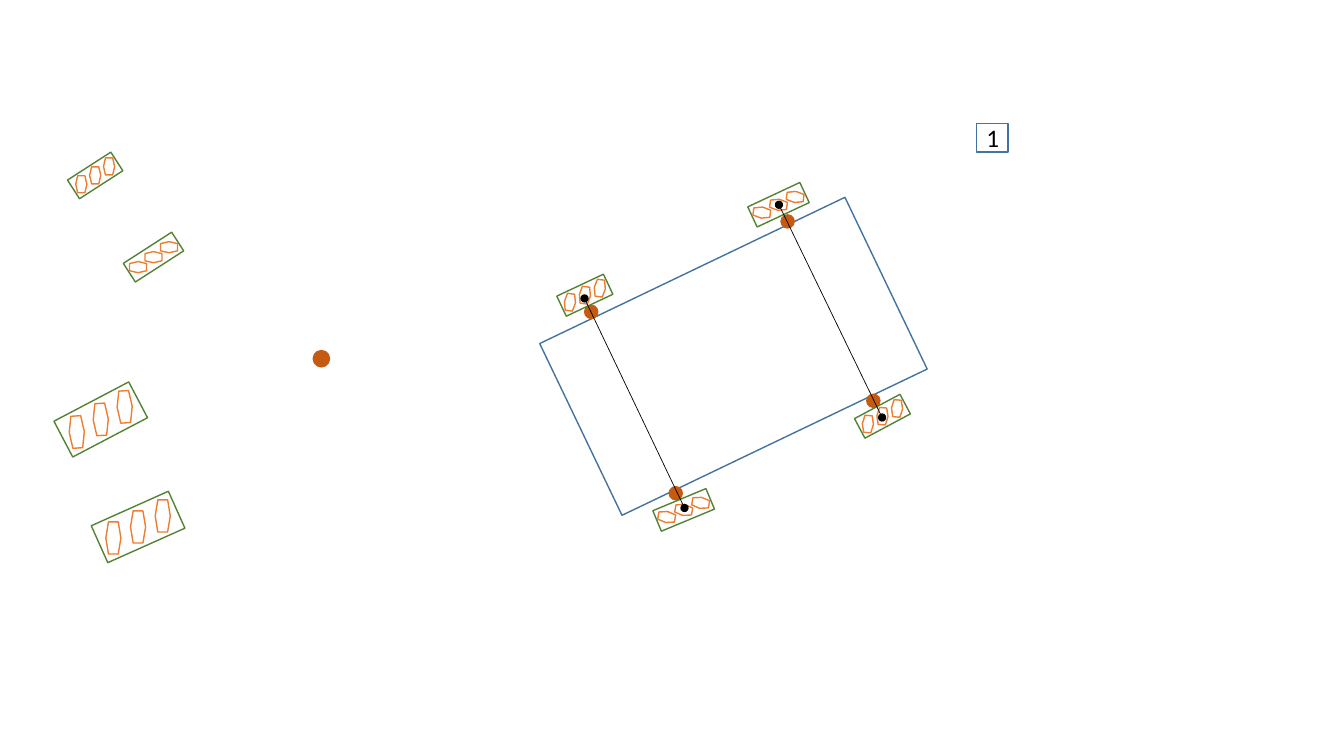
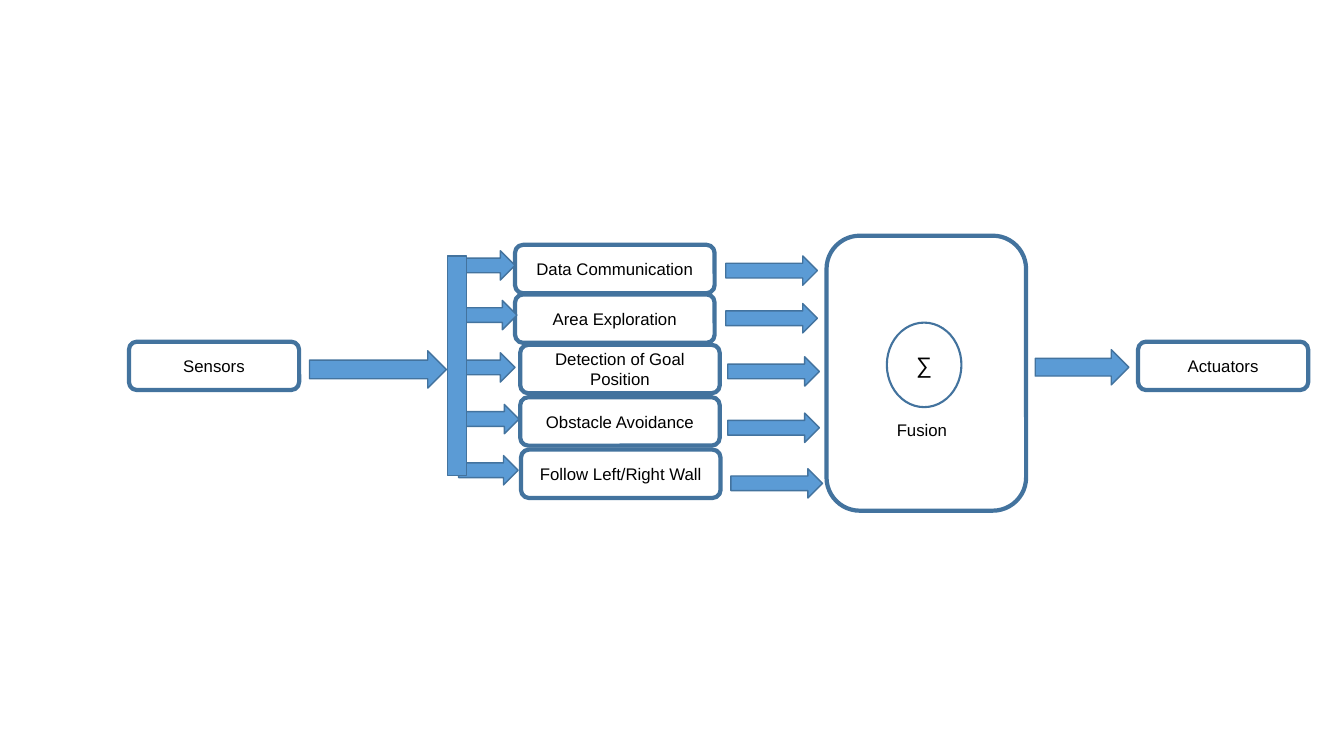
from math import cos, radians, sin

from lxml.etree import SubElement
from pptx import Presentation
from pptx.dml.color import RGBColor
from pptx.enum.shapes import MSO_CONNECTOR, MSO_SHAPE
from pptx.enum.text import PP_ALIGN
from pptx.oxml.ns import qn
from pptx.util import Cm, Pt

WHITE, BLACK = "FFFFFF", "000000"
BLUE, BLUE_EDGE = "5B9BD5", "43739E"
GREEN, ORANGE, RUST = "548235", "ED7D31", "C55A11"


def draw(parent, kind, left, top, width, height, fill, edge, weight=1, turn=0):
    """Add a preset shape; lengths in centimetres, fill None for see-through."""
    shape = parent.shapes.add_shape(kind, Cm(left), Cm(top), Cm(width), Cm(height))
    shape.shadow.inherit = False
    shape.rotation = turn
    if fill:
        shape.fill.solid()
        shape.fill.fore_color.rgb = RGBColor.from_string(fill)
    else:
        shape.fill.background()
    shape.line.color.rgb = RGBColor.from_string(edge)
    shape.line.width = Pt(weight)
    return shape


def write(box, text, size=12, font="Arial", align=PP_ALIGN.CENTER):
    box.text_frame.word_wrap = True
    para = box.text_frame.paragraphs[0]
    para.text = text
    para.alignment = align
    para.font.name = font
    para.font.size = Pt(size)
    para.font.color.rgb = RGBColor.from_string(BLACK)


deck = Presentation()
deck.slide_width, deck.slide_height = Cm(33.87), Cm(19.05)
blank = deck.slide_layouts[6]

# Slide 1: robot with four sensor banks, and loose parts on the left
page = deck.slides.add_slide(blank)
robot = page.shapes.add_group_shape()
draw(robot, MSO_SHAPE.RECTANGLE, 14.22, 6.58, 8.53, 4.8, WHITE, BLUE_EDGE, turn=334.4)

# Joints: parent, centre, diameter
joints = [
    (page, 8.1, 9.04, 0.41),
    (robot, 14.9, 7.86, 0.33),
    (robot, 22.01, 10.1, 0.33),
    (robot, 17.03, 12.43, 0.33),
    (robot, 19.85, 5.58, 0.33),
]
for parent, x, y, size in joints:
    draw(parent, MSO_SHAPE.OVAL, x - size / 2, y - size / 2, size, size, RUST, RUST)

# Sensor banks: a tilted case with three hexagons spaced along its axis
LARGE = (2.13, 1.02, 0.38, 0.81)
SHORT = (1.3, 0.56, 0.28, 0.43)
LONG = (1.45, 0.56, 0.28, 0.43)
banks = [
    (page, 3.48, 13.28, LARGE, 335.9, 0),
    (page, 2.54, 10.57, LARGE, 332.3, 356.4),
    (page, 2.4, 4.42, SHORT, 327.2, 0),
    (page, 3.87, 6.48, LONG, 327.2, 270),
    (robot, 14.74, 7.44, SHORT, 334.8, 7.6),
    (robot, 22.24, 10.49, SHORT, 331.9, 4.7),
    (robot, 17.23, 12.85, LONG, 337.4, 280.2),
    (robot, 19.62, 5.16, LONG, 334.9, 277.7),
]
for parent, x, y, (width, height, cell_width, cell_height), tilt, cell_turn in banks:
    bank = parent.shapes.add_group_shape()
    draw(bank, MSO_SHAPE.RECTANGLE, x - width / 2, y - height / 2, width, height,
         WHITE, GREEN, turn=tilt)
    for step in (-1, 0, 1):
        offset = step * 0.32 * width
        cell_x = x + offset * cos(radians(tilt))
        cell_y = y + offset * sin(radians(tilt))
        cell = draw(bank, MSO_SHAPE.HEXAGON, cell_x - cell_width / 2,
                    cell_y - cell_height / 2, cell_width, cell_height,
                    WHITE, ORANGE, turn=cell_turn)
        cell.adjustments[0] = 0.176

# Axles with round ends
for ends in [(14.73, 7.52, 17.25, 12.8), (19.63, 5.16, 22.23, 10.52)]:
    axle = robot.shapes.add_connector(MSO_CONNECTOR.STRAIGHT, *map(Cm, ends))
    axle.line.color.rgb = RGBColor.from_string(BLACK)
    axle.line.width = Pt(0.5)
    properties = axle.element.spPr
    for end in ("a:headEnd", "a:tailEnd"):
        SubElement(properties.find(qn("a:ln")), qn(end), type="oval")
    SubElement(properties, qn("a:effectLst"))

number = draw(page, MSO_SHAPE.RECTANGLE, 24.61, 3.12, 0.79, 0.71, None, BLUE_EDGE)
write(number, "1", 18, "Calibri")

# Slide 2: from sensors through behaviours and fusion to actuators
page = deck.slides.add_slide(blank)

# Boxes with text
boxes = [
    ("Data Communication", 12.98, 6.17, 5.03),
    ("Area Exploration", 12.98, 7.42, 5.03),
    ("Detection of Goal Position", 13.11, 8.69, 5.03),
    ("Obstacle Avoidance", 13.11, 10.01, 5.03),
    ("Follow Left/Right Wall", 13.13, 11.33, 5.03),
    ("Sensors", 3.25, 8.61, 4.29),
    ("Actuators", 28.68, 8.61, 4.29),
]
for text, left, top, width in boxes:
    box = draw(page, MSO_SHAPE.ROUNDED_RECTANGLE, left, top, width, 1.22,
               None, BLUE_EDGE, 3)
    write(box, text)

# Fusion panel
draw(page, MSO_SHAPE.ROUNDED_RECTANGLE, 20.83, 5.94, 5.03, 6.93, None, BLUE_EDGE, 3)
total = draw(page, MSO_SHAPE.OVAL, 22.35, 8.13, 1.88, 2.13, None, BLUE_EDGE, 1.5)
write(total, "∑", 16)
label = page.shapes.add_textbox(Cm(22.35), Cm(10.46), Cm(4.34), Cm(0.76))
write(label, "Fusion", align=PP_ALIGN.LEFT)

# Arrows: left, top, width, height
arrows = [
    (7.8, 8.84, 3.45, 0.94),
    (26.09, 8.81, 2.36, 0.89),
    # into the behaviours
    (11.56, 6.32, 1.42, 0.74),
    (11.61, 7.57, 1.42, 0.74),
    (11.56, 8.89, 1.42, 0.74),
    (11.66, 10.19, 1.42, 0.74),
    (11.56, 11.48, 1.5, 0.74),
    # out to the fusion panel
    (18.29, 6.45, 2.31, 0.74),
    (18.29, 7.65, 2.31, 0.74),
    (18.34, 8.99, 2.31, 0.74),
    (18.34, 10.41, 2.31, 0.74),
    (18.42, 11.81, 2.31, 0.74),
]
for place in arrows:
    draw(page, MSO_SHAPE.RIGHT_ARROW, *place, BLUE, BLUE_EDGE)

# Bar that splits the sensor signal
draw(page, MSO_SHAPE.RECTANGLE, 11.28, 6.45, 0.48, 5.54, BLUE, BLUE_EDGE)

deck.save("out.pptx")
